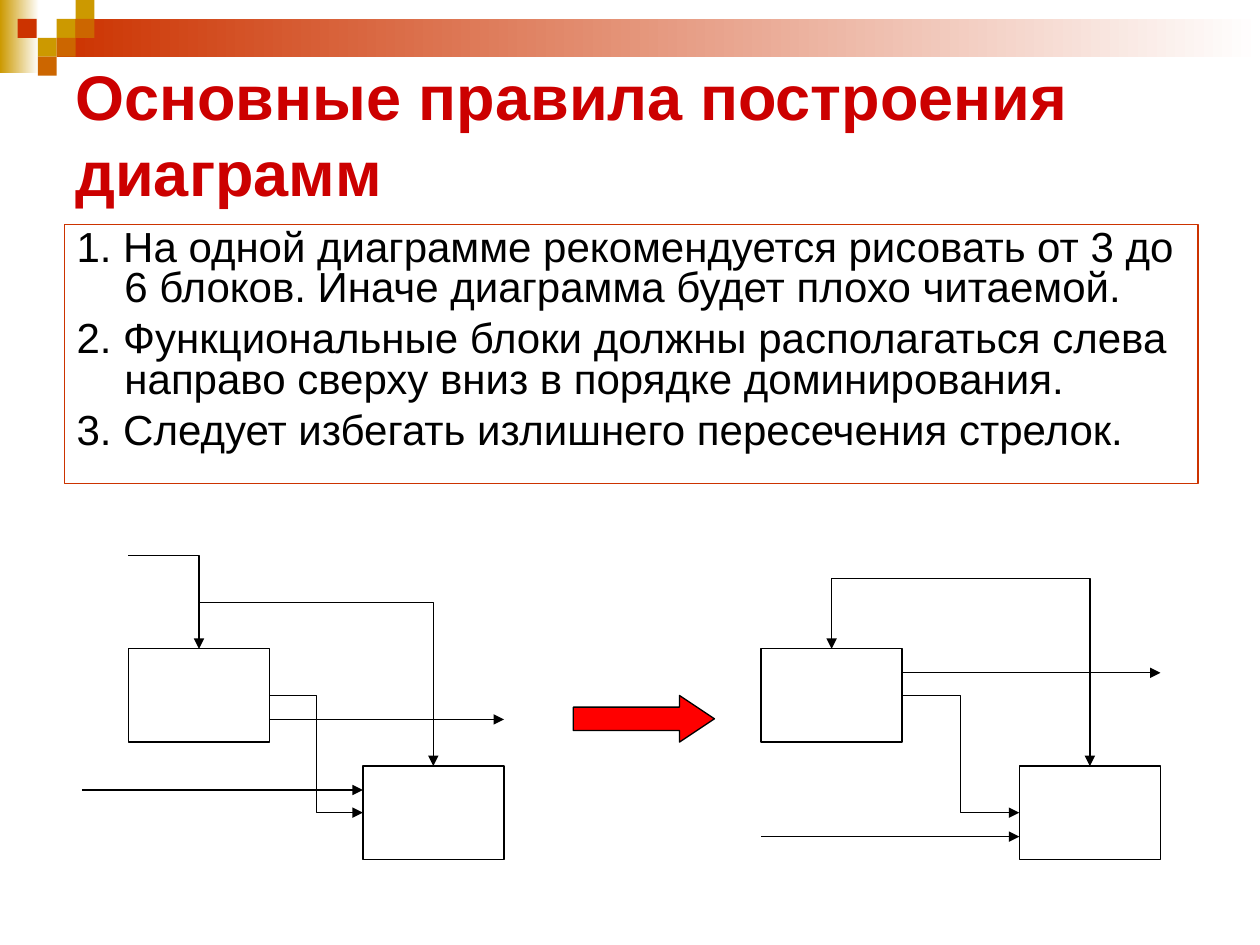
"""Build a slide with the basic rules for drawing functional diagrams."""
from lxml import etree
from pptx import Presentation
from pptx.dml.color import RGBColor
from pptx.enum.shapes import MSO_CONNECTOR, MSO_SHAPE
from pptx.enum.text import MSO_ANCHOR
from pptx.oxml.ns import qn
from pptx.util import Inches, Pt

RECTANGLE, RIGHT_ARROW = MSO_SHAPE.RECTANGLE, MSO_SHAPE.RIGHT_ARROW
STRAIGHT, ELBOW = MSO_CONNECTOR.STRAIGHT, MSO_CONNECTOR.ELBOW
BLACK, WHITE, RED = "000000", "FFFFFF", "FF0000"
GOLD, ORANGE, BRICK = "CC9900", "CC6600", "CC3300"

TITLE = "Основные правила построения диаграмм"
RULES = [
    "1. На одной диаграмме рекомендуется рисовать от 3 до 6 блоков. "
    "Иначе диаграмма будет плохо читаемой.",
    "2. Функциональные блоки должны располагаться слева направо сверху вниз "
    "в порядке доминирования.",
    "3. Следует избегать излишнего пересечения стрелок.",
]
TITLE_FONT = {"name": "Arial", "size": Pt(36), "bold": True}
RULE_FONT = {"name": "Arial", "size": Pt(24), "bold": False}
RULE_FORMAT = {"line_spacing": 0.8}

BANDS = [((0, 0, 0.31, 0.58), GOLD), ((0.45, 0.15, 9.55, 0.3), BRICK)]
TILE = 0.15
TILES = [
    (0.45, 0.15, GOLD), (0.6, 0, GOLD), (0.6, 0.15, ORANGE), (0.3, 0.3, GOLD),
    (0.14, 0.15, BRICK), (0.45, 0.3, ORANGE), (0.3, 0.45, ORANGE),
]

BLOCK_WIDTH, BLOCK_HEIGHT = 1.12, 0.74
BLOCKS = {
    "crossed first": (1.02, 5.15), "crossed second": (2.88, 6.08),
    "clear first": (6.04, 5.15), "clear second": (8.09, 6.08),
}
CORNER_ARROWS = [
    (1.02, 4.41, 1.58, 5.15), (1.58, 4.78, 3.44, 6.08), (6.6, 4.59, 8.65, 6.08),
]
STEP_ARROWS = [(2.14, 5.52, 2.88, 6.45), (7.16, 5.52, 8.09, 6.45)]
STRAIGHT_ARROWS = [
    (2.14, 5.71, 4, 5.71), (0.65, 6.27, 2.88, 6.27),
    (6.04, 6.64, 8.09, 6.64), (7.16, 5.34, 9.21, 5.34),
]
CONTROL_ARROW = (6.6, 4.59, 6.6, 5.15)
TRANSITION = (4.55, 5.52, BLOCK_WIDTH, 0.37)


def color(value):
    return RGBColor.from_string(value)


def add_shape(slide, kind, box, fill=None, line=None):
    shape = slide.shapes.add_shape(kind, *map(Inches, box))
    shape.shadow.inherit = False
    if fill:
        shape.fill.solid()
        shape.fill.fore_color.rgb = color(fill)
    else:
        shape.fill.background()
    if line:
        shape.line.color.rgb = color(line)
        shape.line.width = Pt(0.75)
    else:
        shape.line.fill.background()
    return shape


def add_band(slide, box, start):
    fill = add_shape(slide, RECTANGLE, box).fill
    fill.gradient()
    fill.gradient_angle = 0
    for stop, value in zip(fill.gradient_stops, (start, WHITE)):
        stop.color.rgb = color(value)


def add_text(slide, box, paragraphs, font, font_color, anchor):
    text_box = slide.shapes.add_textbox(*map(Inches, box))
    frame = text_box.text_frame
    frame.word_wrap = True
    frame.vertical_anchor = anchor
    frame.text = "\n".join(paragraphs)
    for paragraph in frame.paragraphs:
        for name, value in font.items():
            setattr(paragraph.font, name, value)
        paragraph.font.color.rgb = color(font_color)
    return text_box


def add_rules(slide):
    box = add_text(slide, (0.51, 1.78, 9, 2.06), RULES, RULE_FONT, BLACK, MSO_ANCHOR.TOP)
    box.line.color.rgb = color(BRICK)
    box.line.width = Pt(0.75)
    for index, paragraph in enumerate(box.text_frame.paragraphs):
        for name, value in RULE_FORMAT.items():
            setattr(paragraph, name, value)
        paragraph.space_before = Pt(6 if index else 0)
        properties = paragraph._p.get_or_add_pPr()
        properties.set("marL", str(Inches(0.38)))
        properties.set("indent", str(Inches(-0.38)))


def add_arrow(slide, kind, ends, preset=None):
    connector = slide.shapes.add_connector(kind, *map(Inches, ends))
    connector.line.color.rgb = color(BLACK)
    connector.line.width = Pt(0.75)
    etree.SubElement(connector.line._get_or_add_ln(), qn("a:tailEnd"), type="triangle")
    properties = connector._element.spPr
    etree.SubElement(properties, qn("a:effectLst"))
    if preset:
        properties.find(qn("a:prstGeom")).set("prst", preset)
    return connector


def add_diagrams(slide):
    blocks = {
        name: add_shape(slide, RECTANGLE, (*place, BLOCK_WIDTH, BLOCK_HEIGHT), WHITE, BLACK)
        for name, place in BLOCKS.items()
    }
    for ends in CORNER_ARROWS:
        add_arrow(slide, ELBOW, ends, "bentConnector2")
    for ends in STEP_ARROWS:
        add_arrow(slide, ELBOW, ends)
    for ends in STRAIGHT_ARROWS:
        add_arrow(slide, STRAIGHT, ends)
    control = add_arrow(slide, STRAIGHT, CONTROL_ARROW)
    control.end_connect(blocks["clear first"], 0)
    transition = add_shape(slide, RIGHT_ARROW, TRANSITION, RED, BLACK)
    transition.adjustments[1] = 0.75


def main():
    presentation = Presentation()
    presentation.slide_width, presentation.slide_height = Inches(10), Inches(7.5)
    slide = presentation.slides.add_slide(presentation.slide_layouts[6])
    for box, start in BANDS:
        add_band(slide, box, start)
    for left, top, fill in TILES:
        add_shape(slide, RECTANGLE, (left, top, TILE, TILE), fill)
    add_text(slide, (0.5, 0.5, 9, 1.12), [TITLE], TITLE_FONT, "CC0000", MSO_ANCHOR.MIDDLE)
    add_rules(slide)
    add_diagrams(slide)
    presentation.save("out.pptx")


if __name__ == "__main__":
    main()
